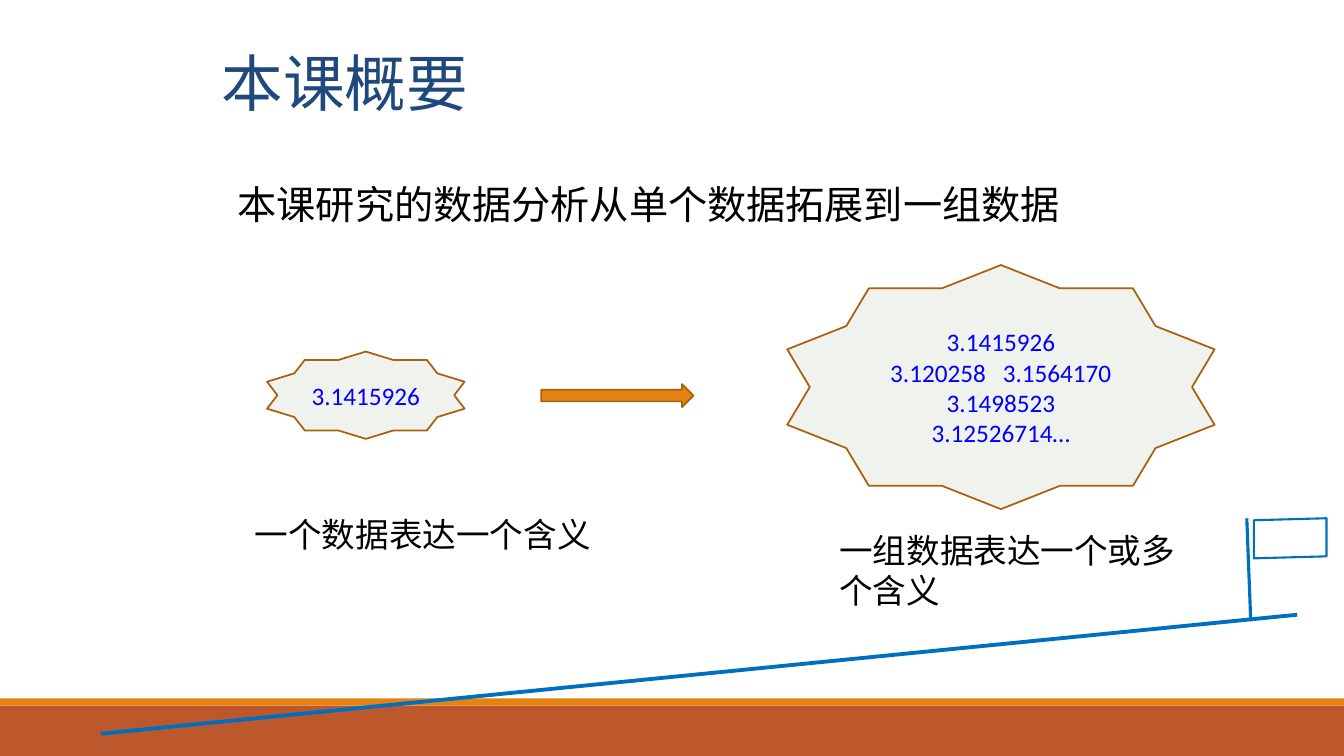
from lxml import etree
from pptx import Presentation
from pptx.dml.color import RGBColor
from pptx.enum.shapes import MSO_CONNECTOR, MSO_SHAPE
from pptx.enum.text import MSO_ANCHOR, PP_ALIGN
from pptx.oxml.ns import qn
from pptx.util import Cm, Pt

STAR, ARROW, RECTANGLE = MSO_SHAPE.STAR_10_POINT, MSO_SHAPE.RIGHT_ARROW, MSO_SHAPE.RECTANGLE
STRAIGHT = MSO_CONNECTOR.STRAIGHT
TOP, MIDDLE = MSO_ANCHOR.TOP, MSO_ANCHOR.MIDDLE
LEFT, CENTER = PP_ALIGN.LEFT, PP_ALIGN.CENTER
TITLE_ONLY = 5


def color(value):
    return RGBColor.from_string(value)


class SlideBuilder:
    CHINESE, LATIN = "Noto Sans CJK SC", "Calibri"
    TITLE, TEXT, NUMBER = "1F497D", "000000", "0000FF"
    ORANGE, RUST, OUTLINE, PALE, BLUE = "E48312", "BD582C", "A9610D", "F0F2ED", "006FC0"

    def __init__(self, presentation):
        self.slide = presentation.slides.add_slide(presentation.slide_layouts[TITLE_ONLY])

    def fill_text(self, frame, text, size, font, fill, align=LEFT):
        frame.word_wrap = True
        frame.text = text
        for paragraph in frame.paragraphs:
            paragraph.alignment = align
            for run in paragraph.runs:
                run.font.size, run.font.name = Pt(size), font
                run.font.color.rgb = color(fill)
                east_asian = etree.SubElement(run.font._element, qn("a:ea"))
                east_asian.set("typeface", font)

    def title(self, text, left, top, width, height):
        shape = self.slide.shapes.title
        shape.left, shape.top = Cm(left), Cm(top)
        shape.width, shape.height = Cm(width), Cm(height)
        frame = shape.text_frame
        frame.margin_left = frame.margin_right = frame.margin_bottom = 0
        frame.margin_top = Cm(0.05)
        frame.vertical_anchor = TOP
        self.fill_text(frame, text, 44, self.CHINESE, self.TITLE)
        frame.paragraphs[0].line_spacing = 0.9

    def text(self, text, left, top, width, height, size):
        box = self.slide.shapes.add_textbox(Cm(left), Cm(top), Cm(width), Cm(height))
        self.fill_text(box.text_frame, text, size, self.CHINESE, self.TEXT)

    def shape(self, kind, left, top, width, height, fill, line=None):
        shape = self.slide.shapes.add_shape(kind, Cm(left), Cm(top), Cm(width), Cm(height))
        shape.shadow.inherit = False
        shape.fill.solid()
        shape.fill.fore_color.rgb = color(fill)
        if line:
            shape.line.color.rgb = color(line)
            shape.line.width = Pt(1.25)
        else:
            shape.line.fill.background()
        return shape

    def star(self, text, left, top, width, height):
        frame = self.shape(STAR, left, top, width, height, self.PALE, self.OUTLINE).text_frame
        frame.vertical_anchor = MIDDLE
        self.fill_text(frame, text, 18, self.LATIN, self.NUMBER, CENTER)

    def line(self, start_x, start_y, end_x, end_y, weight):
        line = self.slide.shapes.add_connector(
            STRAIGHT, Cm(start_x), Cm(start_y), Cm(end_x), Cm(end_y))
        line.line.color.rgb = color(self.BLUE)
        line.line.width = Pt(weight)
        etree.SubElement(line._element.spPr, qn("a:effectLst"))

    def outline(self, points, weight):
        corners = [(Cm(x), Cm(y)) for x, y in points]
        builder = self.slide.shapes.build_freeform(*corners[0])
        builder.add_line_segments(corners[1:], close=True)
        shape = builder.convert_to_shape()
        shape.shadow.inherit = False
        shape.fill.background()
        shape.line.color.rgb = color(self.BLUE)
        shape.line.width = Pt(weight)


def main():
    presentation = Presentation()
    presentation.slide_width, presentation.slide_height = Cm(33.87), Cm(19.05)
    page = SlideBuilder(presentation)

    page.shape(RECTANGLE, 0, 17.78, 33.87, 1.27, page.RUST)
    page.shape(RECTANGLE, 0, 17.6, 33.87, 0.18, page.ORANGE)

    page.title("本课概要", 5.58, 1.3, 11.28, 1.93)
    page.text("本课研究的数据分析从单个数据拓展到一组数据", 5.74, 4.42, 23.47, 1.45, 28)

    page.star("3.1415926", 6.73, 8.86, 4.98, 2.2)
    page.shape(ARROW, 13.64, 9.68, 3.84, 0.58, page.ORANGE, page.OUTLINE)
    page.star("3.1415926\n3.120258   3.1564170\n3.1498523\n3.12526714…", 19.84, 6.68, 10.77, 6.15)
    page.text("一个数据表达一个含义", 6.17, 12.83, 9.25, 1.27, 24)
    page.text("一组数据表达一个或多个含义", 20.9, 13.23, 9.25, 2.31, 24)

    page.line(2.54, 18.49, 32.69, 15.49, 2.75)
    page.line(31.42, 13.06, 31.52, 15.65, 2.25)
    page.outline([(31.6, 13.11), (33.43, 13.06), (33.43, 14.02), (31.6, 14.07)], 1.5)

    presentation.save("out.pptx")


if __name__ == "__main__":
    main()
